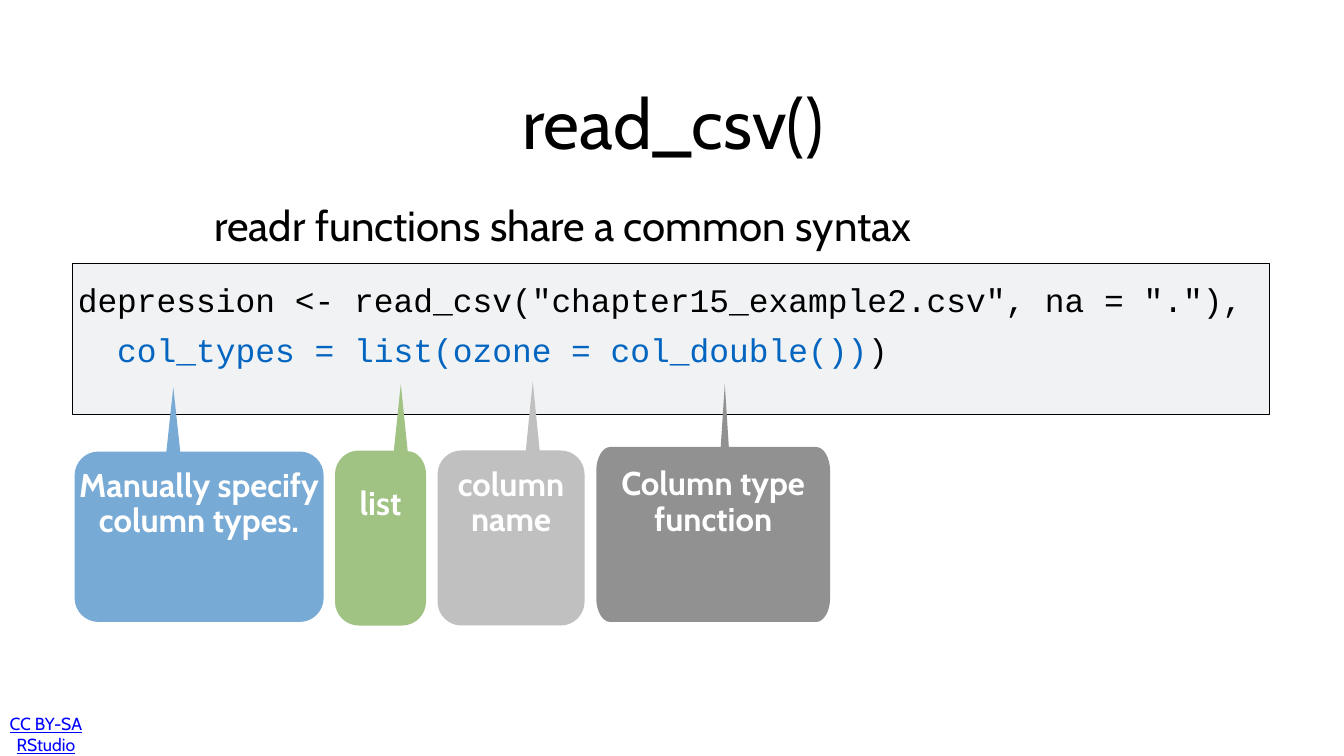
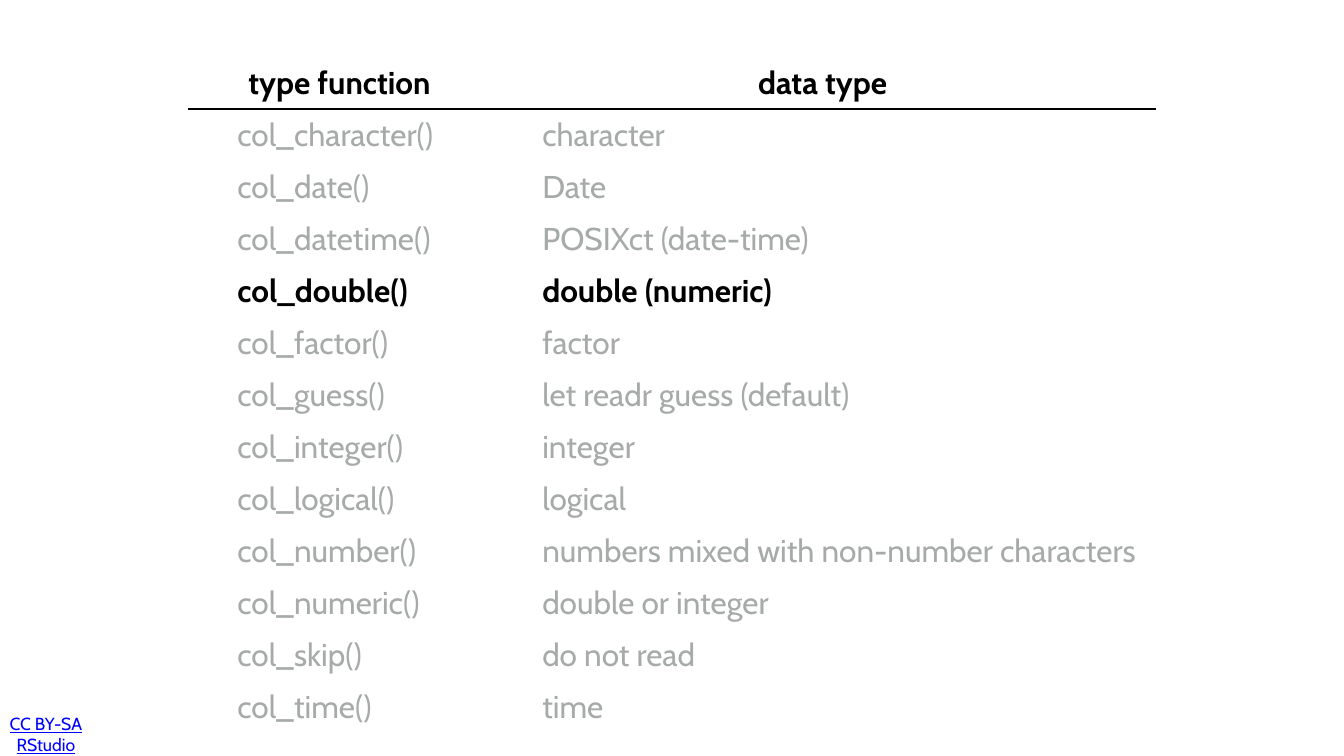
from typing import NamedTuple

from lxml.etree import SubElement
from pptx import Presentation
from pptx.dml.color import RGBColor
from pptx.enum.shapes import MSO_SHAPE
from pptx.enum.text import MSO_ANCHOR, PP_ALIGN
from pptx.oxml.ns import qn
from pptx.util import Pt

COLOURS = {
    "paper": "FFFFFF", "ink": "000000", "link": "0000FF", "code": "0365C0",
    "panel": "F0F2F4", "muted": "A6AAA9", "blue": "78AAD6",
    "green": "A0C283", "silver": "C0C0C0", "grey": "919191",
}
FONTS = {
    "title": {"name": "Cabin", "size": Pt(100)},
    "subtitle": {"name": "Cabin", "size": Pt(60)},
    "footer": {"name": "Cabin", "size": Pt(25), "underline": True},
    "code": {"name": "Courier New", "size": Pt(47)},
    "callout": {"name": "Cabin", "size": Pt(47), "bold": True},
    "cell": {"name": "Cabin", "size": Pt(45), "bold": False},
    "strong cell": {"name": "Cabin", "size": Pt(45), "bold": True},
}
CENTRED = {"alignment": PP_ALIGN.CENTER}
TIGHT = {"alignment": PP_ALIGN.CENTER, "line_spacing": 0.9}
MARGINS = ("margin_left", "margin_top", "margin_right", "margin_bottom")

CODE_LINES = [
    [('depression <- read_csv("chapter15_example2.csv", na = "."),', "ink")],
    [("  col_types = list(ozone = col_double())", "code"), (")", "ink")],
]
TYPE_ROWS = [
    ("type function", "data type"),
    ("col_character()", "character"),
    ("col_date()", "Date"),
    ("col_datetime()", "POSIXct (date-time)"),
    ("col_double()", "double (numeric)"),
    ("col_factor()", "factor"),
    ("col_guess()", "let readr guess (default)"),
    ("col_integer()", "integer"),
    ("col_logical()", "logical"),
    ("col_number()", "numbers mixed with non-number characters"),
    ("col_numeric()", "double or integer"),
    ("col_skip()", "do not read"),
    ("col_time()", "time"),
]
STRONG_ROWS = ("type function", "col_double()")


class Box(NamedTuple):
    left: float
    top: float
    width: float
    height: float

    def lengths(self):
        return [Pt(value) for value in self]


class Callout(NamedTuple):
    """A rounded body with a thin tail; tip is relative to the body's corner."""
    lines: list
    fill: str
    body: Box
    tip: tuple
    half_base: float = 9.9
    radius_x: float = 34


def colour(name):
    return RGBColor.from_string(COLOURS[name])


def set_all(target, values):
    for name, value in values.items():
        setattr(target, name, value)


def write(frame, lines, font, layout, inset=4.5, anchor=MSO_ANCHOR.MIDDLE):
    """Fill a text frame; each line is a list of (text, colour name)."""
    set_all(frame, dict.fromkeys(MARGINS, Pt(inset)))
    set_all(frame, {"word_wrap": True, "vertical_anchor": anchor})
    for index, line in enumerate(lines):
        para = frame.add_paragraph() if index else frame.paragraphs[0]
        set_all(para, layout)
        for text, name in line:
            span = para.add_run()
            span.text = text
            set_all(span.font, FONTS[font])
            span.font.color.rgb = colour(name)


def add_text(page, box, lines, font, layout, **options):
    frame = page.shapes.add_textbox(*box.lengths()).text_frame
    write(frame, lines, font, layout, **options)
    return frame


def add_footer(page, box):
    frame = add_text(page, box, [[("CC BY-SA RStudio", "link")]], "footer", CENTRED)
    set_all(frame, {"margin_left": 0, "margin_right": Pt(box.width - 114)})


def add_code_panel(page, box):
    panel = page.shapes.add_shape(MSO_SHAPE.RECTANGLE, *box.lengths())
    panel.shadow.inherit = False
    panel.fill.solid()
    panel.fill.fore_color.rgb = colour("panel")
    panel.line.color.rgb = colour("ink")
    panel.line.width = Pt(1)
    text_box = Box(box.left + 2.9, box.top + 18.75, box.width, 180)
    frame = add_text(page, text_box, CODE_LINES, "code", {},
                     anchor=MSO_ANCHOR.TOP)
    frame.paragraphs[1].space_before = Pt(15)


def callout_outline(callout):
    """Points clockwise from the tail tip, two for each corner."""
    left, top, width, height = callout.body
    right, bottom = left + width, top + height
    tip_x, tip_y = left + callout.tip[0], top + callout.tip[1]
    base_right = tip_x + callout.half_base
    near_x, far_x = left + callout.radius_x, right - callout.radius_x
    near_y, far_y = top + 34, bottom - 34
    if base_right > far_x:
        top_right = [(base_right, top + 1)]
    else:
        top_right = [(base_right, top), (far_x, top)]
    return [(tip_x, tip_y), *top_right, (right, near_y),
            (right, far_y), (far_x, bottom), (near_x, bottom), (left, far_y),
            (left, near_y), (near_x, top), (tip_x - callout.half_base, top)]


def round_corners(shape):
    """Turn the four corner segments of a callout into curves."""
    outline = next(shape._element.iter(qn("a:path")))
    for index, leaves_sideways in zip((-9, -7, -5, -3), (True, False) * 2):
        segment = outline[index]
        start, end = [(int(point.get("x")), int(point.get("y")))
                      for point in (outline[index - 1][-1], segment[-1])]
        corner = (end[0], start[1]) if leaves_sideways else (start[0], end[1])
        controls = [[round(a + 0.55 * (b - a)) for a, b in zip(anchor, corner)]
                    for anchor in (start, end)]
        outline.remove(segment)
        curve = SubElement(outline, qn("a:cubicBezTo"))
        for x, y in (*controls, end):
            SubElement(curve, qn("a:pt"), x=str(x), y=str(y))
        outline.insert(len(outline) + index, curve)


def add_callout(page, callout):
    start, *rest = [(Pt(x), Pt(y)) for x, y in callout_outline(callout)]
    builder = page.shapes.build_freeform(*start)
    builder.add_line_segments(rest, close=True)
    shape = builder.convert_to_shape()
    round_corners(shape)
    shape.shadow.inherit = False
    shape.fill.solid()
    shape.fill.fore_color.rgb = colour(callout.fill)
    shape.line.fill.background()
    write(shape.text_frame, [[(line, "paper")] for line in callout.lines],
          "callout", TIGHT, inset=5.75)


def add_callouts(page, box):
    """Place the four callouts from the left edge and top of the box."""
    def body(left, top, width, height):
        return Box(box.left + left, box.top + top, width, height)

    callouts = [
        Callout(["Manually specify column types."], "blue",
                body(0, 6.5, 355.7, 243.4), (141, -92)),
        Callout(["list"], "green", body(372, 5, 130, 250), (94, -95)),
        Callout(["column name"], "silver", body(518.5, 5, 210, 250), (136, -98.6)),
        Callout(["Column type", "function"], "grey",
                body(745.2, 0, 334, 250), (183.6, -90), 5.8, 20),
    ]
    for callout in callouts:
        add_callout(page, callout)


def set_border(cell, side, name):
    line = SubElement(cell._tc.get_or_add_tcPr(), qn(f"a:ln{side}"), w=str(Pt(3.5)))
    fill = SubElement(line, qn("a:solidFill"))
    SubElement(fill, qn("a:srgbClr"), val=COLOURS[name])


def fill_type_cell(cell, text, row, strong, indent):
    font, ink = ("strong cell", "ink") if strong else ("cell", "muted")
    write(cell.text_frame, [[(text, ink)]], font, {} if row else CENTRED)
    set_all(cell, dict.fromkeys(MARGINS, Pt(4.5)))
    cell.vertical_anchor = MSO_ANCHOR.MIDDLE
    if row:
        properties = cell.text_frame.paragraphs[0]._p.get_or_add_pPr()
        properties.set("marL", "0")
        properties.set("indent", str(Pt(indent)))
    ruled_side = {0: "B", 1: "T"}.get(row)
    for side in "LRTB":
        set_border(cell, side, "ink" if side == ruled_side else "paper")
    cell.fill.background()


def add_type_table(page, box):
    frame = page.shapes.add_table(len(TYPE_ROWS), 2, *box.lengths())
    table = frame.table
    set_all(table, {"first_row": False, "horz_banding": False})
    first_width = 430.6
    table.columns[0].width = Pt(first_width)
    table.columns[1].width = Pt(box.width - first_width)
    for row, texts in enumerate(TYPE_ROWS):
        table.rows[row].height = Pt(box.height / len(TYPE_ROWS))
        strong = texts[0] in STRONG_ROWS
        for column, (text, indent) in enumerate(zip(texts, (65, 70))):
            fill_type_cell(table.cell(row, column), text, row, strong, indent)


def add_page(deck):
    page = deck.slides.add_slide(deck.slide_layouts[6])
    page.background.fill.solid()
    page.background.fill.fore_color.rgb = colour("paper")
    add_footer(page, Box(8.6, 1026.7, 191.5, 43.2))
    return page


def add_syntax_page(deck):
    page = add_page(deck)
    add_text(page, Box(316.8, 79.2, 1288.8, 188.6),
             [[("read_csv()", "ink")]], "title", CENTRED)
    add_text(page, Box(301.7, 230.4, 1082, 180),
             [[("readr functions share a common syntax", "ink")]], "subtitle", {})
    add_code_panel(page, Box(103.7, 375.8, 1709.3, 216.7))
    add_callouts(page, Box(106.6, 638.6, 1079.2, 255))


def add_types_page(deck):
    add_type_table(add_page(deck), Box(269.6, 82, 1380.3, 966))


def main():
    deck = Presentation()
    set_all(deck, {"slide_width": Pt(1920), "slide_height": Pt(1080)})
    add_syntax_page(deck)
    add_types_page(deck)
    deck.save("out.pptx")


if __name__ == "__main__":
    main()
